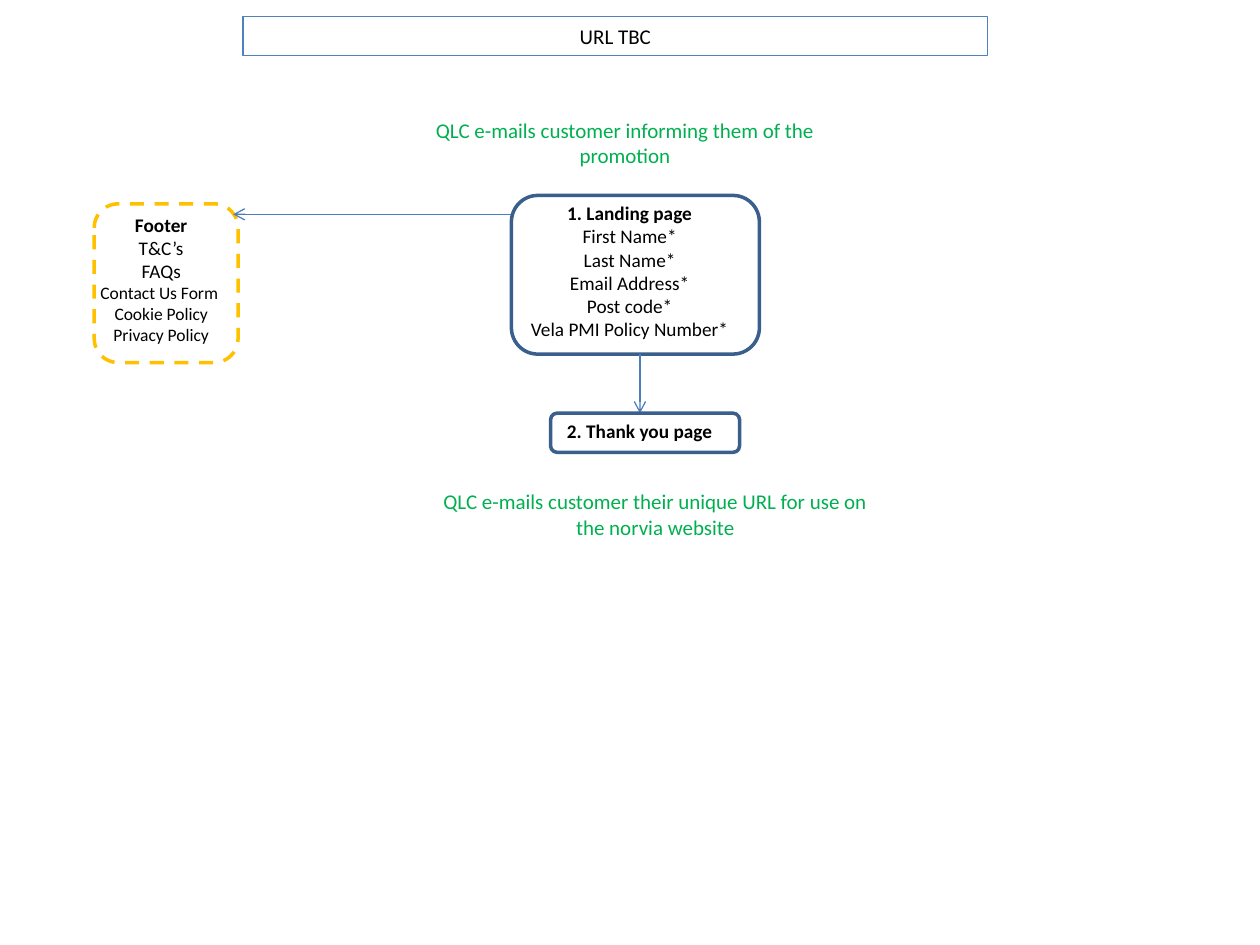
from pptx import Presentation
from pptx import util as u
from pptx.dml.color import RGBColor
from pptx.enum import dml, shapes, text
from pptx.oxml.ns import qn
from lxml import etree

NAVY, BLUE, ARROW = "3A5F8C", "4F81BD", "4B7EBC"
AMBER, GREEN, BLACK = "FFC000", "00B050", "000000"


def rgb(value):
    return RGBColor.from_string(value)


def write(sp, lines, color=BLACK):
    tf = sp.text_frame
    tf.word_wrap = True
    for i, (line, size, bold) in enumerate(lines):
        p = tf.paragraphs[0] if i == 0 else tf.add_paragraph()
        p.text = line
        p.alignment = text.PP_ALIGN.CENTER
        for r in p.runs:
            r.font.name = "Calibri"
            r.font.size = u.Pt(size)
            r.font.bold = bold
            r.font.color.rgb = rgb(color)


def label(s, box, lines, color=BLACK):
    sp = s.shapes.add_textbox(*map(u.Cm, box))
    write(sp, lines, color)


def frame(s, box, color, width=2, kind=shapes.MSO_SHAPE.ROUNDED_RECTANGLE):
    sp = s.shapes.add_shape(kind, *map(u.Cm, box))
    sp.shadow.inherit = False
    sp.fill.background()
    sp.line.color.rgb = rgb(color)
    sp.line.width = u.Pt(width)
    return sp


def arrow(s, x1, y1, x2, y2):
    c = s.shapes.add_connector(shapes.MSO_CONNECTOR.STRAIGHT,
                               u.Cm(x1), u.Cm(y1), u.Cm(x2), u.Cm(y2))
    c.line.color.rgb = rgb(ARROW)
    c.line.width = u.Pt(0.75)
    etree.SubElement(c.line._get_or_add_ln(), qn("a:tailEnd"), type="arrow")
    etree.SubElement(c._element.spPr, qn("a:effectLst"))


def url_bar(s, x, y, w, h):
    sp = frame(s, (x, y, w, h), BLUE, 0.75, shapes.MSO_SHAPE.RECTANGLE)
    write(sp, [("URL TBC", 12, False)])


def footer(s, x, y, w, h):
    sp = frame(s, (x, y, w, h), AMBER)
    sp.line.dash_style = dml.MSO_LINE.DASH
    lines = [("Footer", 11, True), ("T&C’s", 11, False), ("FAQs", 11, False)]
    lines += [(t, 10, False) for t in
              ("Contact Us Form ", "Cookie Policy", "Privacy Policy")]
    label(s, (x - 0.2, y + 0.06, w + 0.2, h - 0.25), lines)


def landing_page(s, x, y, w, h):
    fields = ("First Name*\vLast Name*", "Email Address*", "Post code*",
              "Vela PMI Policy Number*")
    label(s, (x - 0.41, y, w + 0.59, h - 0.13),
          [("1. Landing page", 11, True)] + [(t, 11, False) for t in fields])
    frame(s, (x, y, w, h), NAVY)


def thank_you_page(s, x, y, w, h):
    label(s, (x - 1.8, y, w + 3.38, h - 0.05),
          [("2. Thank you page", 11, True)])
    frame(s, (x, y, w, h), NAVY)


def email_note(s, x, y, w, h, message):
    label(s, (x, y, w, h), [(message, 12, False)], GREEN)


prs = Presentation()
prs.slide_width, prs.slide_height = u.Cm(25.4), u.Cm(19.05)
s = prs.slides.add_slide(prs.slide_layouts[6])

footer(s, 1.9, 4.11, 2.9, 3.2)
url_bar(s, 4.9, 0.33, 15.01, 0.79)
arrow(s, 10.31, 4.32, 4.7, 4.32)
landing_page(s, 10.31, 3.94, 5, 3.2)
arrow(s, 12.9, 7.14, 12.9, 8.33)
thank_you_page(s, 11.1, 8.33, 3.81, 0.79)
email_note(s, 7.9, 2.24, 9.4, 1.27,
           "QLC e-mails customer informing them of the promotion")
email_note(s, 8.51, 9.73, 9.4, 1.27,
           "QLC e-mails customer their unique URL for use on the norvia website")

prs.save("out.pptx")
